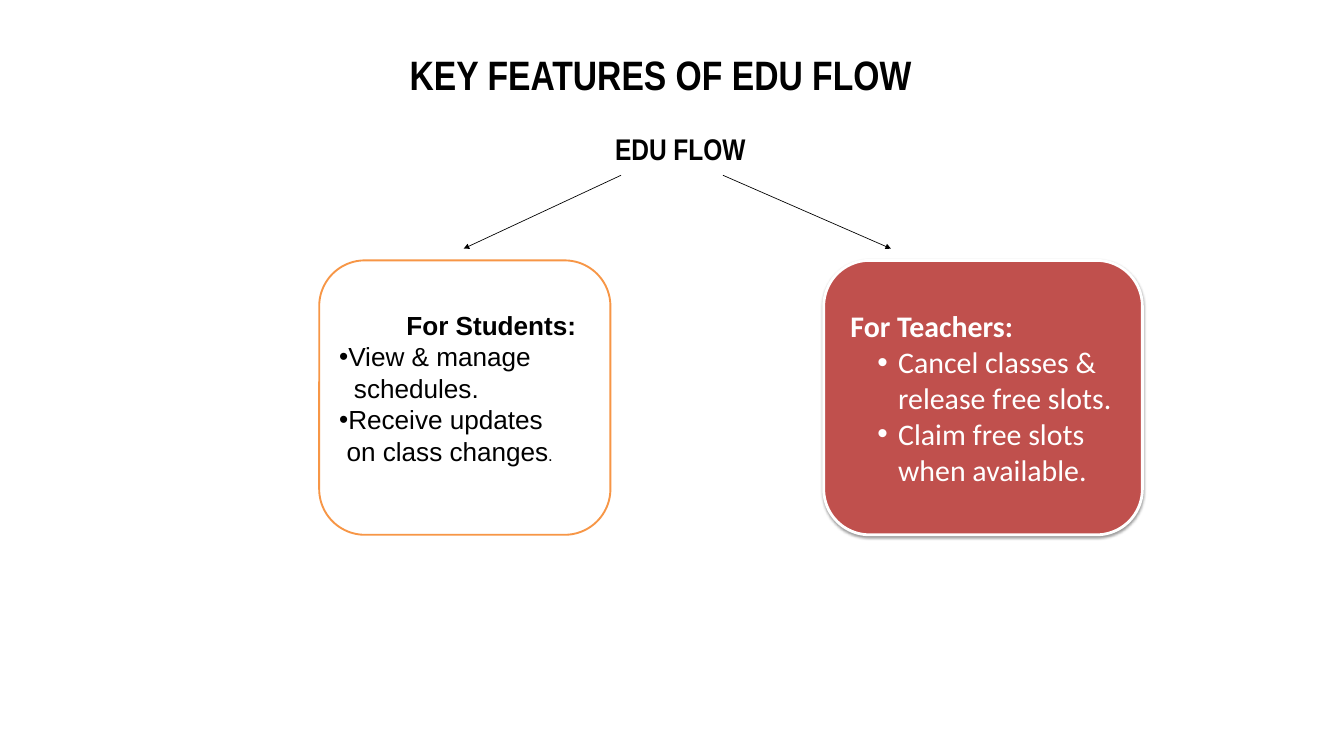
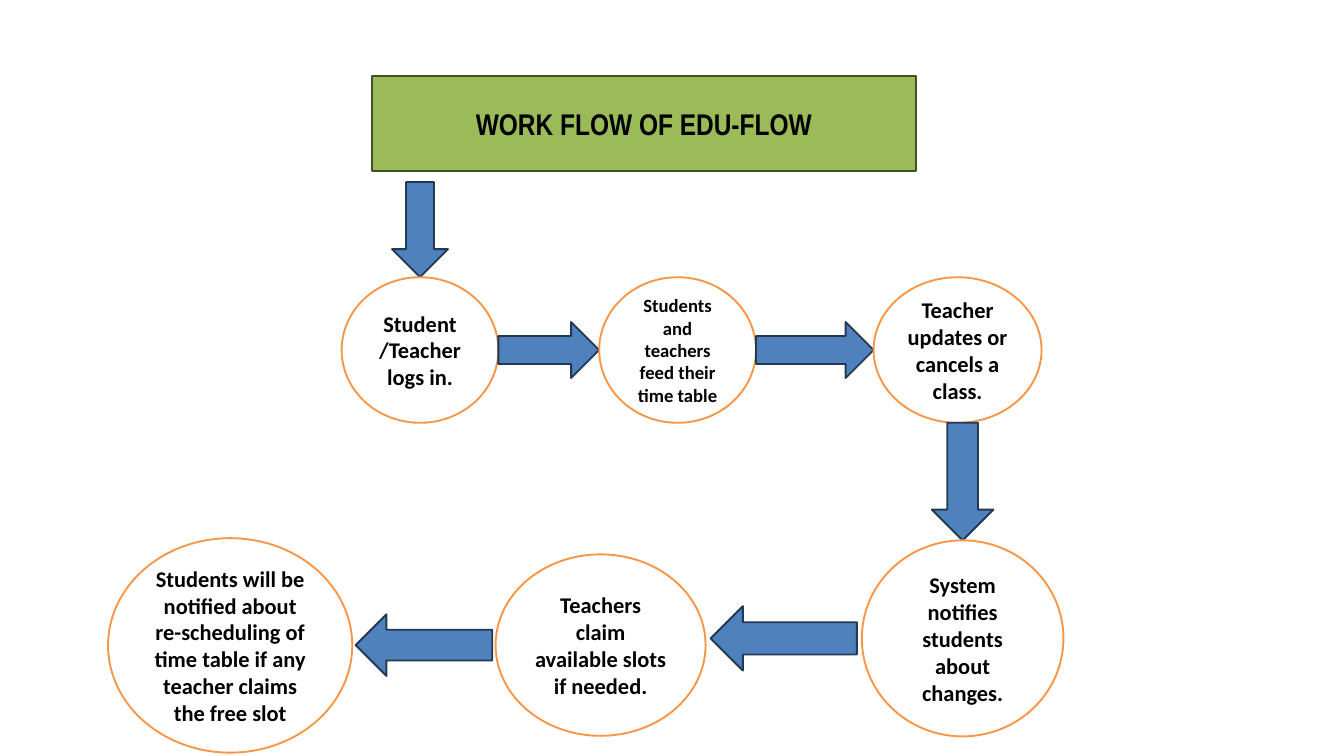
from dataclasses import dataclass
from typing import Optional

import lxml.etree
import pptx
import pptx.dml.color
import pptx.enum.shapes
import pptx.enum.text
import pptx.oxml.ns
import pptx.util

RGBColor = pptx.dml.color.RGBColor
Shape = pptx.enum.shapes.MSO_SHAPE
Align = pptx.enum.text.PP_ALIGN
Anchor = pptx.enum.text.MSO_ANCHOR

BLACK = RGBColor(0x00, 0x00, 0x00)
WHITE = RGBColor(0xFF, 0xFF, 0xFF)
ORANGE = RGBColor(0xF7, 0x96, 0x46)
RED = RGBColor(0xC0, 0x50, 0x4D)
GREEN = RGBColor(0x9B, 0xBB, 0x59)
DARK_GREEN = RGBColor(0x44, 0x52, 0x27)
BLUE = RGBColor(0x4F, 0x81, 0xBD)
DARK_BLUE = RGBColor(0x23, 0x39, 0x53)

WIDTH, HEIGHT = pptx.util.Inches(20), pptx.util.Inches(11.25)
COLUMNS, ROWS = 240, 135
TITLE_ONLY = 5
TITLE_FONT = "Arial Narrow"


@dataclass(frozen=True)
class Area:
    left: float
    top: float
    columns: float
    rows: float

    @property
    def right(self) -> float:
        return self.left + self.columns

    @property
    def bottom(self) -> float:
        return self.top + self.rows

    @property
    def center(self) -> float:
        return self.left + self.columns / 2

    @property
    def middle(self) -> float:
        return self.top + self.rows / 2


@dataclass(frozen=True)
class Look:
    fill: RGBColor
    line: RGBColor
    weight: float = 2


@dataclass(frozen=True)
class Span:
    text: str
    size: float
    bold: bool = True


@dataclass(frozen=True)
class Para:
    spans: tuple[Span, ...]
    align: Align = Align.LEFT
    margin: float = 0
    indent: float = 0
    bullet: bool = False
    before: float = 0


@dataclass(frozen=True)
class Step:
    area: Area
    lines: tuple[str, ...]
    arrow: Shape
    breadth: float
    gap: float = 0
    size: float = 24


OUTLINED = Look(WHITE, ORANGE)
FILLED = Look(RED, WHITE, 3)
BANNER = Look(GREEN, DARK_GREEN)
ARROW = Look(BLUE, DARK_BLUE)

TITLE_AREA = Area(67, 3.5, 102, 19.3)
SUBTITLE_AREA = Area(19, 22.8, 205, 66.5)
STUDENT_CARD = Area(57, 46.5, 52, 49)
TEACHER_CARD = Area(147.1, 46.5, 56.9, 49)
BRANCHES = ((129.1, 159.1), (110.9, 82.8))
BRANCH_TOP, BRANCH_BOTTOM = 31.3, 44.4

BANNER_AREA = Area(66.5, 13.5, 97, 17)
BANNER_GAP = 2
FIRST_ROW, STEP_ROWS = 49.5, 26

STUDENT_TEXT = (
    Para((Span("For Students:", 28),), margin=1),
    Para((Span("View & manage", 28, False),), bullet=True),
    Para((Span("schedules.", 28, False),), margin=0.22),
    Para((Span("Receive updates", 28, False),), bullet=True),
    Para((Span("on class changes", 28, False), Span(".", 18, False)), margin=0.11),
)
TEACHER_TEXT = (
    Para((Span("For Teachers:", 32),), margin=0.1),
    *(
        Para((Span(text, 32, False),), margin=0.81, indent=-0.31, bullet=True)
        for text in (
            "Cancel classes & release free slots.",
            "Claim free slots when available.",
        )
    ),
)
STEPS = (
    Step(Area(61, FIRST_ROW, 28, STEP_ROWS), ("Student", "/Teacher logs in."),
         Shape.DOWN_ARROW, 10),
    Step(Area(107, FIRST_ROW, 28, STEP_ROWS),
         ("Students and teachers feed their time table",),
         Shape.RIGHT_ARROW, 10, size=20),
    Step(Area(156, FIRST_ROW, 30, STEP_ROWS),
         ("Teacher updates or cancels a class.",), Shape.RIGHT_ARROW, 10),
    Step(Area(153.9, 96.5, 36, 35),
         ("System notifies students about changes.",), Shape.DOWN_ARROW, 11),
    Step(Area(88.5, 99, 37.5, 32.4),
         ("Teachers claim available slots if needed.",), Shape.LEFT_ARROW, 11.5, 0.9),
    Step(Area(19.3, 96.1, 43.6, 38.3),
         ("Students will be notified about re-scheduling of time table "
          "if any teacher claims the free slot",), Shape.LEFT_ARROW, 11, 0.6),
)


def across(columns: float) -> int:
    return round(WIDTH * columns / COLUMNS)


def down(rows: float) -> int:
    return round(HEIGHT * rows / ROWS)


def frame(area: Area) -> tuple[int, int, int, int]:
    return across(area.left), down(area.top), across(area.columns), down(area.rows)


def apply(target, values: dict) -> None:
    for name, value in values.items():
        setattr(target, name, value)


def add_node(parent, tag: str, **attributes: str):
    node = lxml.etree.SubElement(parent, pptx.oxml.ns.qn(tag))
    for name, value in attributes.items():
        node.set(name, value)
    return node


def paint(shape, look: Look) -> None:
    shape.fill.solid()
    shape.fill.fore_color.rgb = look.fill
    shape.line.color.rgb = look.line
    shape.line.width = pptx.util.Pt(look.weight)


def write(box, paras: tuple[Para, ...], font: str, color: RGBColor = BLACK,
          anchor: Anchor = Anchor.MIDDLE) -> None:
    frame_text = box.text_frame
    apply(frame_text, {
        "word_wrap": True,
        "auto_size": pptx.enum.text.MSO_AUTO_SIZE.NONE,
        "vertical_anchor": anchor,
    })
    for index, item in enumerate(paras):
        para = frame_text.add_paragraph() if index else frame_text.paragraphs[0]
        apply(para, {"alignment": item.align, "space_before": pptx.util.Pt(item.before)})
        properties = para._p.get_or_add_pPr()
        properties.set("marL", str(pptx.util.Inches(item.margin)))
        properties.set("indent", str(pptx.util.Inches(item.indent)))
        if item.bullet:
            add_node(properties, "a:buFont", typeface="Arial")
            add_node(properties, "a:buChar", char="•")
        for part in item.spans:
            span = para.add_run()
            span.text = part.text
            apply(span.font, {"name": font, "size": pptx.util.Pt(part.size), "bold": part.bold})
            span.font.color.rgb = color


def centered(size: float, *lines: str, before: float = 0) -> tuple[Para, ...]:
    return tuple(Para((Span(line, size),), Align.CENTER, before=before) for line in lines)


def add_shape(page, kind: Shape, area: Area, look: Look):
    shape = page.shapes.add_shape(kind, *frame(area))
    shape.shadow.inherit = False
    paint(shape, look)
    return shape


def add_title(deck, text: str, area: Area, size: float):
    page = deck.slides.add_slide(deck.slide_layouts[TITLE_ONLY])
    title = page.shapes.title
    apply(title, dict(zip(("left", "top", "width", "height"), frame(area))))
    write(title, centered(size, text), TITLE_FONT)
    return page


def add_shadow(shape) -> None:
    effects = shape.element.spPr.find(pptx.oxml.ns.qn("a:effectLst"))
    shadow = add_node(effects, "a:outerShdw", blurRad=str(pptx.util.Pt(3.1)),
                      dist=str(pptx.util.Pt(1.6)), dir="5400000", rotWithShape="0")
    color = add_node(shadow, "a:srgbClr", val=str(BLACK))
    add_node(color, "a:alpha", val="38000")


def add_branch(page, start: float, end: float) -> None:
    branch = page.shapes.add_connector(
        pptx.enum.shapes.MSO_CONNECTOR.STRAIGHT,
        across(start), down(BRANCH_TOP), across(end), down(BRANCH_BOTTOM))
    branch.line.color.rgb = BLACK
    branch.line.width = pptx.util.Pt(0.75)
    add_node(branch.line._get_or_add_ln(), "a:tailEnd", type="triangle")
    add_node(branch.element.spPr, "a:effectLst")


def arrow_area(source: Area, step: Step) -> Area:
    target, breadth, gap = step.area, step.breadth, step.gap
    if step.arrow == Shape.DOWN_ARROW:
        return Area(target.center - breadth / 2, source.bottom, breadth,
                    target.top - source.bottom)
    left, right = sorted((source, target), key=lambda area: area.left)
    return Area(left.right + gap, source.middle - breadth / 2,
                right.left - left.right - 2 * gap, breadth)


def build_features(deck) -> None:
    page = add_title(deck, "KEY FEATURES OF EDU FLOW", TITLE_AREA, 44)
    subtitle = page.shapes.add_textbox(*frame(SUBTITLE_AREA))
    write(subtitle, centered(32, "EDU FLOW", before=6.4), TITLE_FONT, anchor=Anchor.TOP)
    for start, end in BRANCHES:
        add_branch(page, start, end)
    students = add_shape(page, Shape.ROUNDED_RECTANGLE, STUDENT_CARD, OUTLINED)
    write(students, STUDENT_TEXT, "Arial")
    students.text_frame.margin_bottom = pptx.util.Inches(0.34)
    teachers = add_shape(page, Shape.ROUNDED_RECTANGLE, TEACHER_CARD, FILLED)
    add_shadow(teachers)
    write(teachers, TEACHER_TEXT, "Calibri", WHITE)


def build_workflow(deck) -> None:
    page = add_title(deck, "WORK FLOW OF EDU-FLOW", BANNER_AREA, 32)
    banner = page.shapes.title
    outline = add_node(banner.element.spPr, "a:prstGeom", prst="roundRect")
    add_node(outline, "a:avLst")
    paint(banner, BANNER)
    source = Area(BANNER_AREA.left, BANNER_AREA.top, BANNER_AREA.columns,
                  BANNER_AREA.rows + BANNER_GAP)
    for step in STEPS:
        add_shape(page, step.arrow, arrow_area(source, step), ARROW)
        circle = add_shape(page, Shape.OVAL, step.area, OUTLINED)
        write(circle, centered(step.size, *step.lines), "Calibri")
        source = step.area


def main() -> None:
    deck = pptx.Presentation()
    apply(deck, {"slide_width": WIDTH, "slide_height": HEIGHT})
    build_features(deck)
    build_workflow(deck)
    deck.save("out.pptx")


if __name__ == "__main__":
    main()
